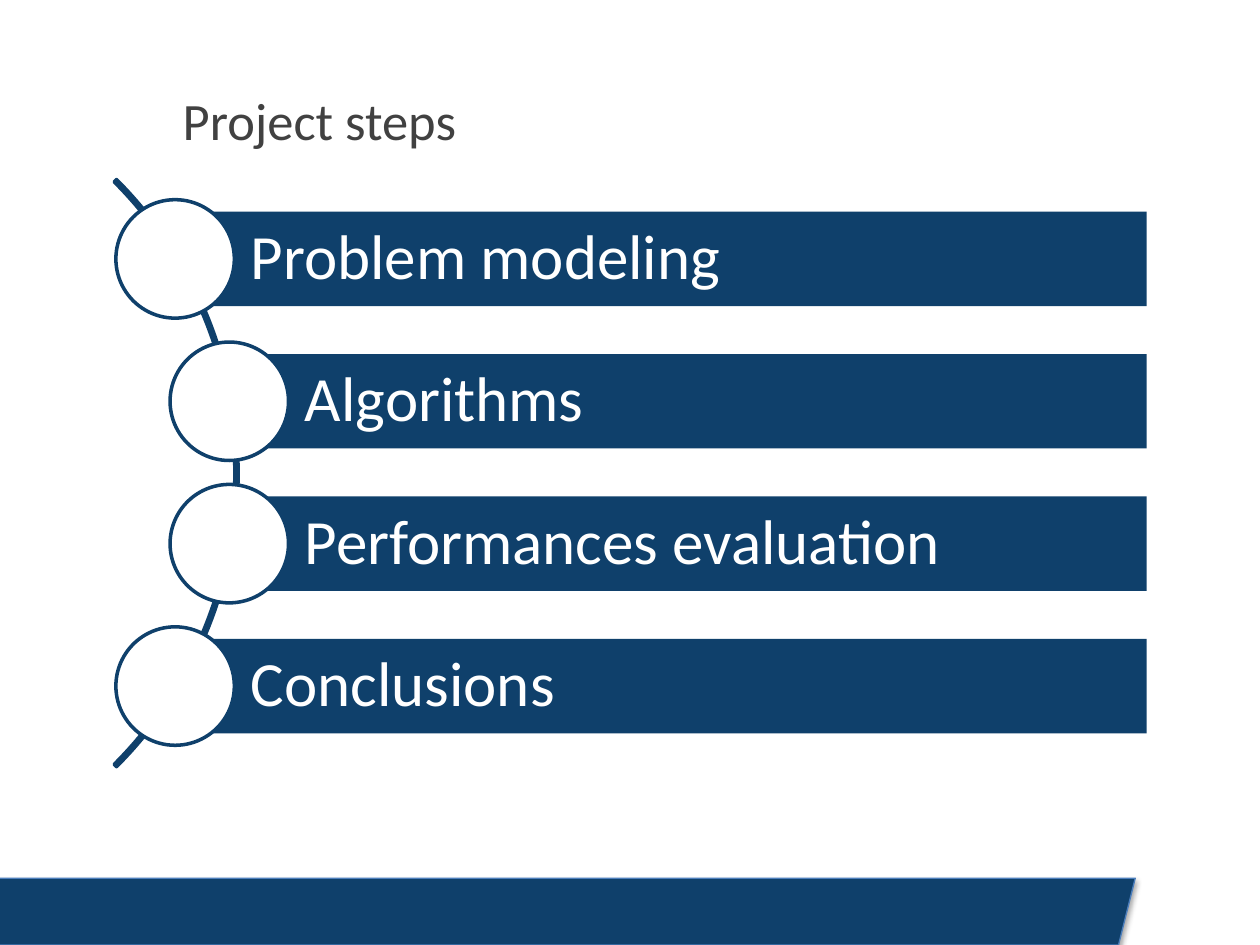
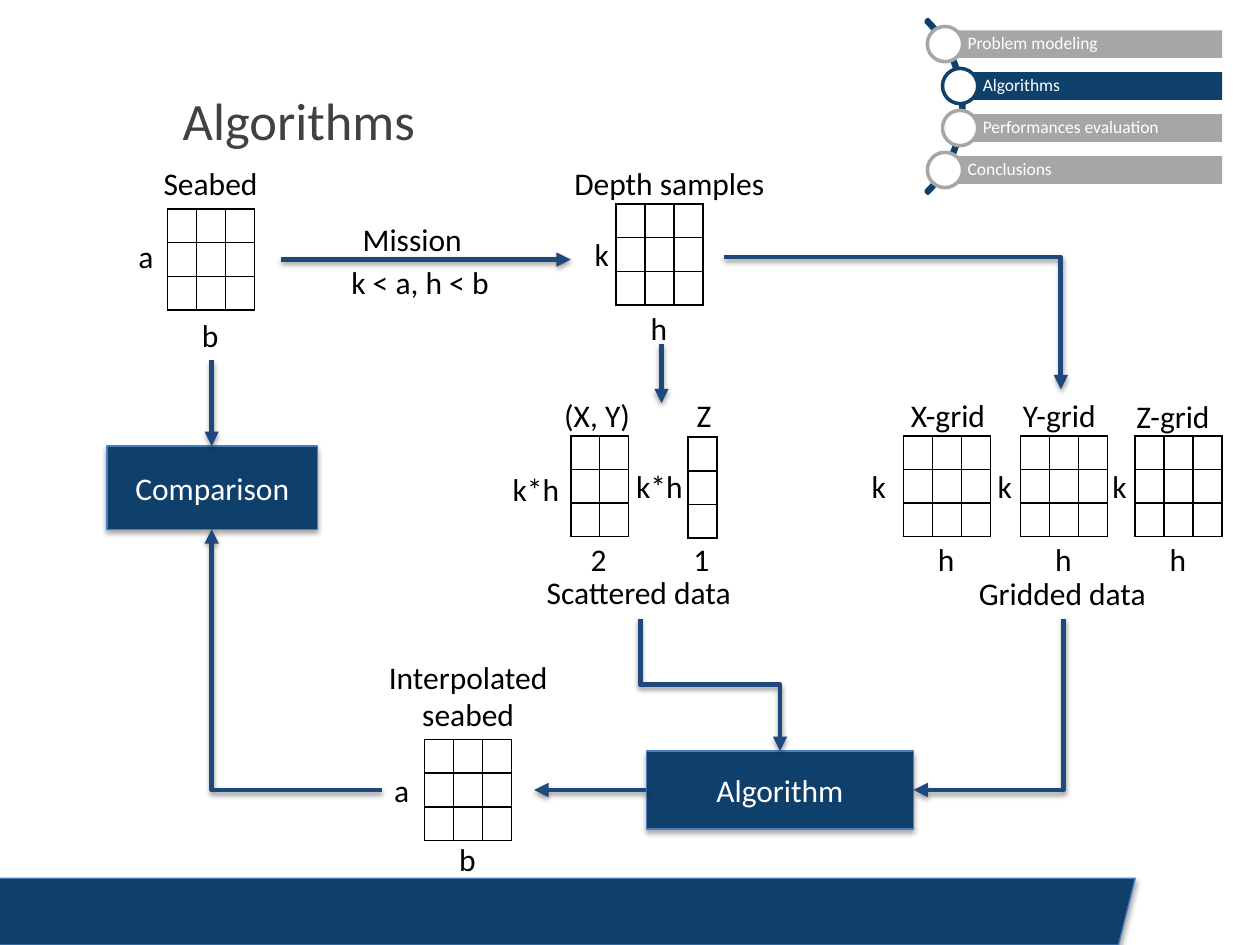
from dataclasses import dataclass
from typing import NamedTuple

from lxml.etree import SubElement
from pptx import Presentation
from pptx.dml.color import RGBColor
from pptx.enum.shapes import MSO_CONNECTOR, MSO_SHAPE
from pptx.enum.text import MSO_ANCHOR, MSO_AUTO_SIZE, PP_ALIGN
from pptx.oxml.ns import qn
from pptx.util import Inches, Pt

NAVY = RGBColor(0x0F, 0x40, 0x6B)
EDGE = RGBColor(0x4B, 0x7E, 0xBC)
ARROW = RGBColor(0x1F, 0x49, 0x7D)
GREY = RGBColor(0xA6, 0xA6, 0xA6)
INK = RGBColor(0x41, 0x41, 0x41)
BLACK = RGBColor(0, 0, 0)
WHITE = RGBColor(0xFF, 0xFF, 0xFF)
FONT = "Calibri"
STEPS = ["Problem modeling", "Algorithms", "Performances evaluation", "Conclusions"]
CELL_W, GRID_H, GRID_ROWS = 0.23, 0.8, 3


@dataclass
class StepList:
    arc: tuple[float, float, float, float]  # left, top, size, thickness
    outer: float  # left of the first and last bar
    inner: float  # left of the middle bars
    right: float
    top: float
    pitch: float
    bar_h: float
    circle: float
    indent: float
    inset: float
    size: int


class Label(NamedTuple):
    text: str
    left: float
    top: float
    width: float


class Grid(NamedTuple):
    left: float
    top: float
    cols: int
    side: Label
    base: str
    base_top: float


class Arrow(NamedTuple):
    start: tuple[float, float]
    end: tuple[float, float]
    preset: str = "line"
    rot: int = 0
    flip_h: bool = False


FULL_LIST = StepList((-4.7, 0.46, 6.59, 0.004), 1.39, 1.82, 9.1, 1.68, 1.13,
                     0.75, 0.94, 0.6, 0.1, 36)
MINI_LIST = StepList((5.7, -0.13, 1.95, 0.012), 7.5, 7.62, 9.7, 0.24, 0.333,
                     0.22, 0.28, 0.18, 0.03, 10)

GRIDS = [
    Grid(1.33, 1.66, 3, Label("a", 1, 1.83, 0.32), "b", 2.46),
    Grid(4.89, 1.62, 3, Label("k", 4.62, 1.82, 0.32), "h", 2.4),
    Grid(4.53, 3.46, 2, Label("k*h", 3.97, 3.68, 0.58), "2", 4.24),
    Grid(5.46, 3.47, 1, Label("k*h", 4.95, 3.66, 0.58), "1", 4.24),
    Grid(3.37, 5.87, 3, Label("a", 3.03, 6.07, 0.32), "b", 6.62),
] + [
    Grid(left, 3.46, 3, Label("k", side, 3.66, 0.32), "h", 4.24)
    for left, side in ((7.17, 6.82), (8.1, 7.82), (9.01, 8.73))
]

LABELS = [
    Label("Seabed", 1.2, 1.25, 0.96),
    Label("Depth samples", 4.46, 1.25, 1.73),
    Label("Mission", 2.78, 1.7, 1.13),
    Label("k < a, h < b", 2.69, 2.04, 1.34),
    Label("(X, Y)", 4.38, 3.09, 0.73),
    Label("Z", 5.43, 3.09, 0.32),
    Label("X-grid", 7.13, 3.09, 0.81),
    Label("Y-grid", 8.02, 3.09, 0.8),
    Label("Z-grid", 8.92, 3.1, 0.79),
    Label("Scattered data", 4.24, 4.5, 1.68),
    Label("Gridded data", 7.67, 4.51, 1.54),
]

ARROWS = [
    Arrow((2.23, 2.06), (4.53, 2.06)),
    Arrow((5.25, 2.73), (5.25, 3.2)),
    Arrow((1.68, 2.86), (1.68, 3.54)),
    Arrow((5.13, 6.27), (4.24, 6.27)),
    Arrow((5.75, 2.04), (8.42, 3.09), "bentConnector2"),
    Arrow((5.08, 4.91), (6.19, 5.96), "bentConnector3", 270, True),
    Arrow((8.44, 4.91), (7.25, 6.27), "bentConnector2", 90),
    Arrow((3.03, 6.27), (1.68, 4.2), "bentConnector2", 180),
]


def add_shadow(shape, alpha: int, dist: float) -> None:
    sp_pr = shape._element.spPr
    for old in sp_pr.findall(qn("a:effectLst")):
        sp_pr.remove(old)
    effects = SubElement(sp_pr, qn("a:effectLst"))
    outer = SubElement(effects, qn("a:outerShdw"), blurRad=str(Pt(3.1)),
                       dist=str(Pt(dist)), dir="5400000", rotWithShape="0")
    color = SubElement(outer, qn("a:srgbClr"), val="000000")
    SubElement(color, qn("a:alpha"), val=str(alpha * 1000))


def add_run(p, text: str, size: int, color: RGBColor) -> None:
    r = p.add_run()
    r.text = text
    r.font.name, r.font.size = FONT, Pt(size)
    r.font.color.rgb = color


def add_box(s, kind, left: float, top: float, width: float, height: float,
            fill: RGBColor, line: RGBColor | None = None, line_w: float = 2):
    sp = s.shapes.add_shape(kind, Inches(left), Inches(top), Inches(width), Inches(height))
    sp.shadow.inherit = False
    sp.fill.solid()
    sp.fill.fore_color.rgb = fill
    if line is None:
        sp.line.fill.background()
    else:
        sp.line.color.rgb = line
        sp.line.width = Pt(line_w)
    return sp


def add_raised_box(s, kind, left: float, top: float, width: float, height: float):
    sp = add_box(s, kind, left, top, width, height, NAVY, EDGE, 0.75)
    add_shadow(sp, 35, 1.8)
    return sp


def add_process(s, text: str, left: float, top: float, width: float, height: float) -> None:
    sp = add_raised_box(s, MSO_SHAPE.FLOWCHART_PROCESS, left, top, width, height)
    tf = sp.text_frame
    tf.vertical_anchor = MSO_ANCHOR.MIDDLE
    p = tf.paragraphs[0]
    p.alignment = PP_ALIGN.CENTER
    add_run(p, text, 18, WHITE)


def add_label(s, label: Label, height: float = 0.4, wrap: bool = False) -> None:
    tb = s.shapes.add_textbox(Inches(label.left), Inches(label.top),
                              Inches(label.width), Inches(height))
    tf = tb.text_frame
    tf.word_wrap = wrap
    p = tf.paragraphs[0]
    p.alignment = PP_ALIGN.CENTER if wrap else PP_ALIGN.LEFT
    add_run(p, label.text, 18, BLACK)


def add_steps(s, steps: StepList, active: str | None = None) -> None:
    # Arc behind the circles
    left, top, size, thickness = steps.arc
    arc = add_box(s, MSO_SHAPE.BLOCK_ARC, left, top, size, size, NAVY, NAVY)
    for i, value in enumerate((189, 27, thickness)):
        arc.adjustments[i] = value

    # Bars with a circle centred on each left edge
    for i, text in enumerate(STEPS):
        color = NAVY if active in (None, text) else GREY
        left = steps.outer if i in (0, len(STEPS) - 1) else steps.inner
        top = steps.top + i * steps.pitch
        bar = add_box(s, MSO_SHAPE.RECTANGLE, left, top, steps.right - left,
                      steps.bar_h, color)
        tf = bar.text_frame
        tf.vertical_anchor = MSO_ANCHOR.MIDDLE
        tf.margin_left = Inches(steps.indent)
        tf.margin_right = tf.margin_top = tf.margin_bottom = Inches(steps.inset)
        p = tf.paragraphs[0]
        p.alignment = PP_ALIGN.LEFT
        p.line_spacing = 0.9
        add_run(p, text, steps.size, WHITE)
        add_box(s, MSO_SHAPE.OVAL, left - steps.circle / 2,
                top + (steps.bar_h - steps.circle) / 2,
                steps.circle, steps.circle, WHITE, color)


def style_cell(cell) -> None:
    cell.margin_left = cell.margin_right = cell.margin_top = cell.margin_bottom = 0
    tc_pr = cell._tc.get_or_add_tcPr()
    for side in ("a:lnL", "a:lnR", "a:lnT", "a:lnB"):
        ln = SubElement(tc_pr, qn(side), w=str(Pt(1)))
        SubElement(SubElement(ln, qn("a:solidFill")), qn("a:srgbClr"), val=str(BLACK))
    cell.fill.background()
    # Small empty text keeps the row at its set height
    SubElement(cell.text_frame.paragraphs[0]._p, qn("a:endParaRPr"), sz="800")


def add_grid(s, grid: Grid) -> None:
    width = CELL_W * grid.cols
    table = s.shapes.add_table(GRID_ROWS, grid.cols, Inches(grid.left), Inches(grid.top),
                               Inches(width), Inches(GRID_H)).table
    table.first_row = table.horz_banding = False
    for col in table.columns:
        col.width = Inches(CELL_W)
    for row in table.rows:
        row.height = Inches(GRID_H / GRID_ROWS)
    for cell in table.iter_cells():
        style_cell(cell)
    add_label(s, grid.side)
    add_label(s, Label(grid.base, grid.left + width / 2 - 0.17, grid.base_top, 0.34))


def add_arrow(s, arrow: Arrow) -> None:
    (x1, y1), (x2, y2) = arrow.start, arrow.end
    if arrow.preset == "line":
        c = s.shapes.add_connector(MSO_CONNECTOR.STRAIGHT, Inches(x1), Inches(y1),
                                   Inches(x2), Inches(y2))
    else:
        # The unrotated frame shares its centre with the drawn route
        w, h = abs(x2 - x1), abs(y2 - y1)
        if arrow.rot in (90, 270):
            w, h = h, w
        left, top = (x1 + x2 - w) / 2, (y1 + y2 - h) / 2
        c = s.shapes.add_connector(MSO_CONNECTOR.ELBOW, Inches(left), Inches(top),
                                   Inches(left + w), Inches(top + h))
        sp_pr = c._element.spPr
        sp_pr.find(qn("a:prstGeom")).set("prst", arrow.preset)
        xfrm = sp_pr.find(qn("a:xfrm"))
        xfrm.set("rot", str(arrow.rot * 60000))
        if arrow.flip_h:
            xfrm.set("flipH", "1")
    c.line.color.rgb = ARROW
    c.line.width = Pt(2.75)
    SubElement(c._element.spPr.find(qn("a:ln")), qn("a:tailEnd"), type="triangle")
    add_shadow(c, 38, 1.6)


def add_slide(prs, title: str):
    s = prs.slides.add_slide(prs.slide_layouts[5])
    # Title
    sp = s.shapes.title
    sp.left, sp.top, sp.width, sp.height = Inches(1.35), Inches(0.65), Inches(6.9), Inches(0.61)
    tf = sp.text_frame
    tf.auto_size = MSO_AUTO_SIZE.NONE
    tf.vertical_anchor = MSO_ANCHOR.TOP
    p = tf.paragraphs[0]
    p.alignment = PP_ALIGN.LEFT
    add_run(p, title, 30, INK)
    # Footer band
    add_raised_box(s, MSO_SHAPE.PARALLELOGRAM, -0.26, 6.97, 9.27, 0.53)
    return s


def main() -> None:
    prs = Presentation()
    prs.slide_width, prs.slide_height = Inches(10), Inches(7.5)

    # Project steps
    s = add_slide(prs, "Project steps")
    add_steps(s, FULL_LIST)

    # Algorithms flow
    s = add_slide(prs, "Algorithms")
    add_steps(s, MINI_LIST, active="Algorithms")
    for grid in GRIDS:
        add_grid(s, grid)
    for label in LABELS:
        add_label(s, label)
    add_label(s, Label("Interpolated seabed", 2.97, 5.17, 1.49), 0.71, wrap=True)
    add_process(s, "Algorithm", 5.13, 5.96, 2.12, 0.62)
    add_process(s, "Comparison", 0.85, 3.54, 1.67, 0.66)
    for arrow in ARROWS:
        add_arrow(s, arrow)

    prs.save("out.pptx")


if __name__ == "__main__":
    main()
